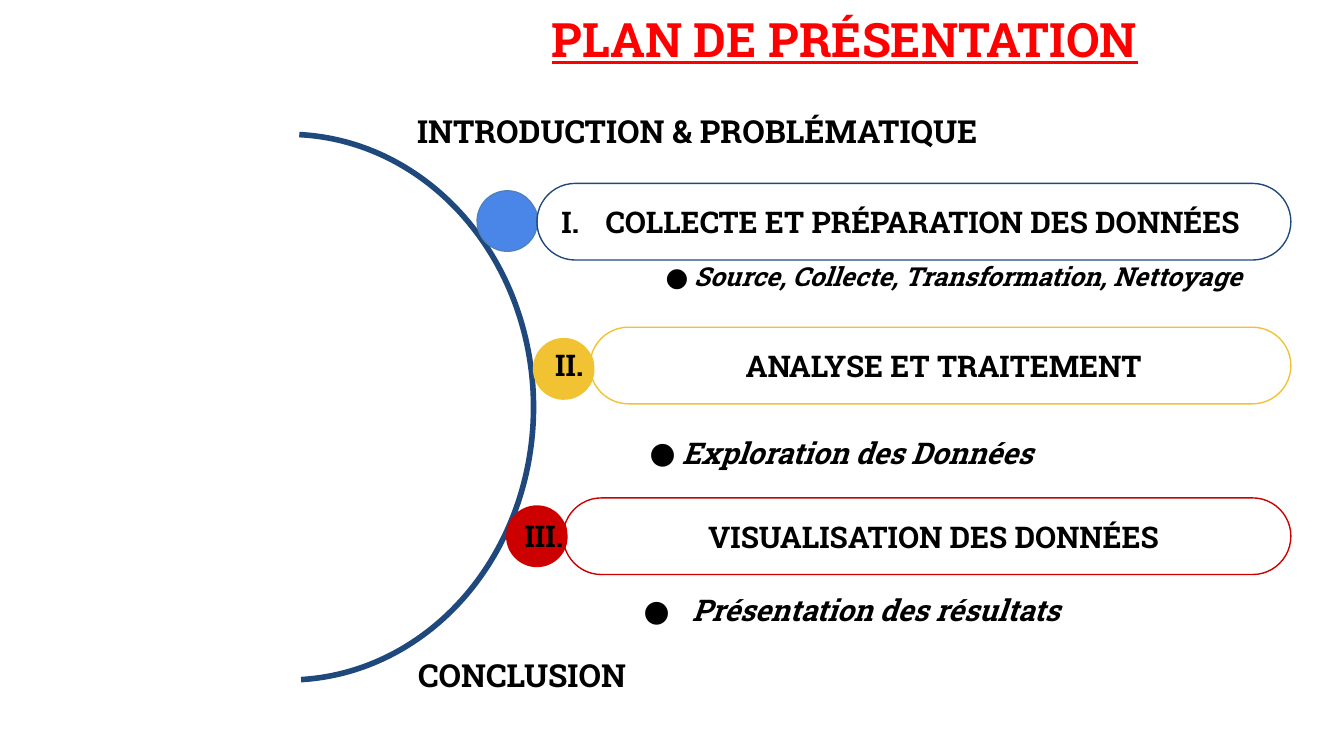
"""Build the plan slide: an arc with three coloured steps and their notes."""
import pptx
import pptx.util
import pptx.oxml.ns
import pptx.dml.color
import pptx.enum.shapes
import pptx.enum.text
import lxml.etree

THEME = {
    "font": "Roboto Slab", "black": "000000", "red": "FF0000", "navy": "1F497D",
    "blue": "4A86E8", "edge": "4F81BD", "gold": "F1C232", "brick": "CC0000",
    "title": 25.4, "head": 17, "body": 16, "small": 14,
}
KIND = pptx.enum.shapes.MSO_SHAPE
ALIGN = pptx.enum.text.PP_ALIGN
ANCHOR = pptx.enum.text.MSO_ANCHOR
FIT = pptx.enum.text.MSO_AUTO_SIZE

deck = pptx.Presentation()
deck.slide_width = pptx.util.Inches(10)
deck.slide_height = deck.slide_width * 9 // 16
COL = deck.slide_width / 100
ROW = deck.slide_height / 56.25
slide = deck.slides.add_slide(deck.slide_layouts[6])


def draw(kind, left, top, wide, high, line, weight=0.75, fill=None, adjust=()):
    """Add a preset shape placed in grid columns and rows."""
    shape = slide.shapes.add_shape(
        kind, round(left * COL), round(top * ROW), round(wide * COL), round(high * ROW))
    shape.shadow.inherit = False
    shape.line.color.rgb = pptx.dml.color.RGBColor.from_string(line)
    shape.line.width = pptx.util.Pt(weight)
    if fill:
        shape.fill.solid()
        shape.fill.fore_color.rgb = pptx.dml.color.RGBColor.from_string(fill)
    else:
        shape.fill.background()
    for index, value in enumerate(adjust):
        shape.adjustments[index] = value
    return shape


def write(text, box=None, shape=None, size=THEME["body"], color=THEME["black"],
          align=ALIGN.CENTER, anchor=ANCHOR.TOP, pad=1, italic=False, under=False,
          bullet=None, margin=0, indent=0, spacing=None, after=None):
    """Write one line of text in a shape or in a new box on the grid."""
    if shape is None:
        left, top, wide, high = box
        shape = slide.shapes.add_textbox(
            round(left * COL), round(top * ROW), round(wide * COL), round(high * ROW))
    frame = shape.text_frame
    frame.word_wrap = True
    frame.auto_size = FIT.SHAPE_TO_FIT_TEXT if anchor == ANCHOR.TOP else FIT.NONE
    frame.vertical_anchor = anchor
    frame.margin_left = frame.margin_right = round(COL)
    frame.margin_top = frame.margin_bottom = round(pad * ROW)
    line = frame.paragraphs[0]
    line.alignment = align
    if spacing:
        line.line_spacing = spacing
    if after:
        line.space_after = pptx.util.Pt(after)
    run = line.add_run()
    run.text = text
    font = run.font
    font.name, font.size = THEME["font"], pptx.util.Pt(size)
    font.bold, font.italic, font.underline = True, italic, under
    font.color.rgb = pptx.dml.color.RGBColor.from_string(color)
    props = line._p.get_or_add_pPr()
    props.set("marL", str(round(margin * COL)))
    props.set("indent", str(round(indent * COL)))
    if bullet:
        name = pptx.oxml.ns.qn
        tint = lxml.etree.SubElement(props, name("a:buClr"))
        lxml.etree.SubElement(tint, name("a:srgbClr"), val=THEME["black"])
        lxml.etree.SubElement(props, name("a:buFont"), typeface=THEME["font"])
        tag, key, value = bullet
        lxml.etree.SubElement(props, name(tag)).set(key, value)


ROMAN = ("a:buAutoNum", "type", "romanUcPeriod")
POINT = ("a:buChar", "char", "●")

draw(KIND.ARC, 3.2, 10, 36.5, 40.6, THEME["navy"], weight=3, adjust=(163.39, 52.38))
write("PLAN DE PRÉSENTATION", box=(34.8, -0.25, 56.1, 6.3), size=THEME["title"],
      color=THEME["red"], anchor=ANCHOR.MIDDLE, pad=0.5, under=True)

RIGHT = 96.05
steps = [
    ("COLLECTE ET PRÉPARATION DES DONNÉES", 39.95, 13.65, 35.5, 14.2,
     THEME["blue"], THEME["edge"], THEME["navy"],
     {"bullet": ROMAN, "indent": -4.1}),
    ("ANALYSE ET TRAITEMENT", 43.9, 24.35, 39.7, 25.2,
     THEME["gold"], THEME["gold"], THEME["gold"], {"margin": 0.5}),
    ("VISUALISATION DES DONNÉES", 41.9, 37.05, 37.7, 37.65,
     THEME["brick"], THEME["brick"], THEME["brick"], {"margin": 1}),
]
for text, left, top, dot, level, fill, edge, line, style in steps:
    drop = draw(KIND.TEAR, dot, level, 4.5, 4.5, edge, fill=fill, adjust=(0.71,))
    drop.rotation = 25.1
    bar = draw(KIND.ROUNDED_RECTANGLE, left, top, RIGHT - left, 5.7, line, adjust=(0.5,))
    write(text, shape=bar, anchor=ANCHOR.MIDDLE, **style)

notes = [
    ("Source, Collecte, Transformation, Nettoyage", (45.8, 18.4, 50.3, 4.9),
     {"size": THEME["small"], "margin": 4.85, "indent": -2.1}),
    ("Exploration des Données", (47.3, 30, 39.4, 4.7),
     {"margin": 2.45, "indent": -2.4, "spacing": 1.5, "after": 10}),
    ("Présentation des résultats", (45.5, 41.7, 48.9, 4.7),
     {"margin": 5, "indent": -3.6, "spacing": 1.5}),
]
for text, box, style in notes:
    write(text, box=box, align=ALIGN.LEFT, italic=True, bullet=POINT, **style)

for text, box in [("INTRODUCTION & PROBLÉMATIQUE", (27.2, 7.3, 49.4, 4.9)),
                  ("CONCLUSION", (28.8, 47.8, 20.1, 4.9))]:
    write(text, box=box, size=THEME["head"])

for text, box in [("II.", (38.9, 24.8, 5.5, 4.7)), ("III.", (36.9, 37.5, 6, 4.7))]:
    write(text, box=box, align=ALIGN.RIGHT)

deck.save("out.pptx")
